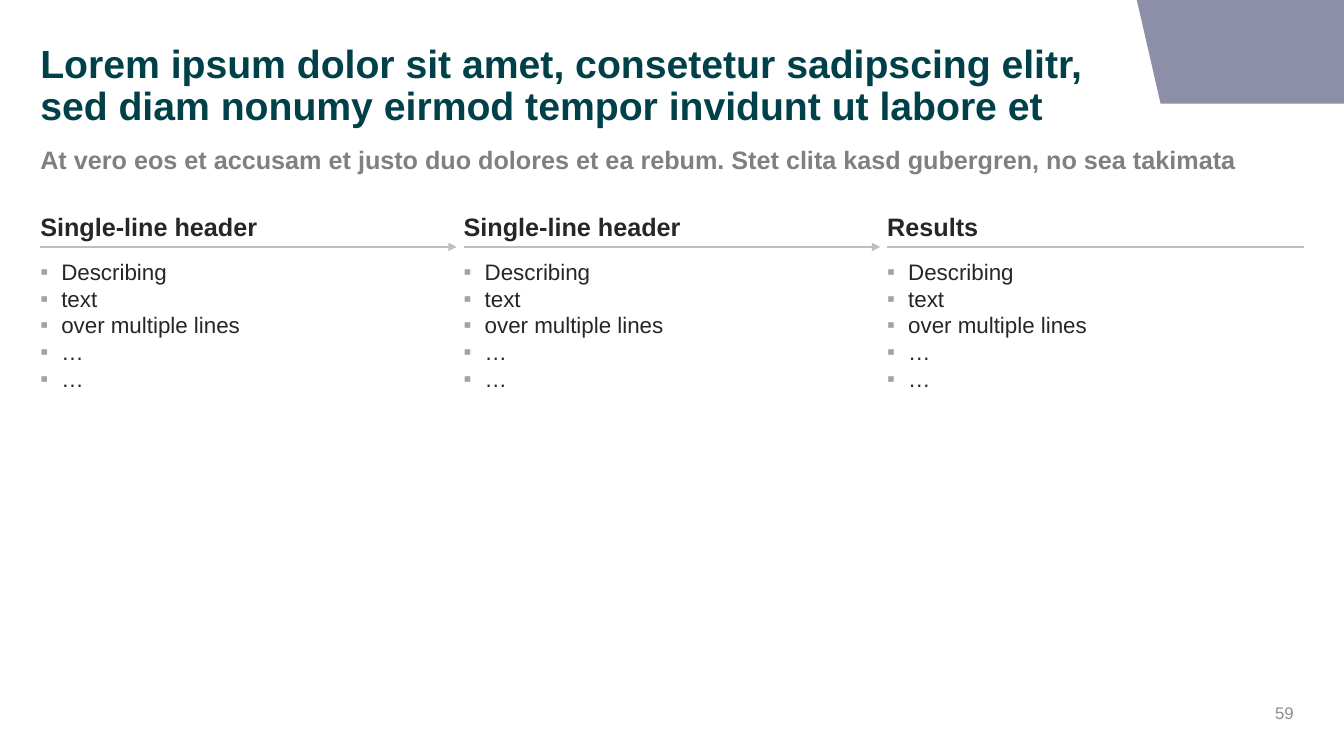
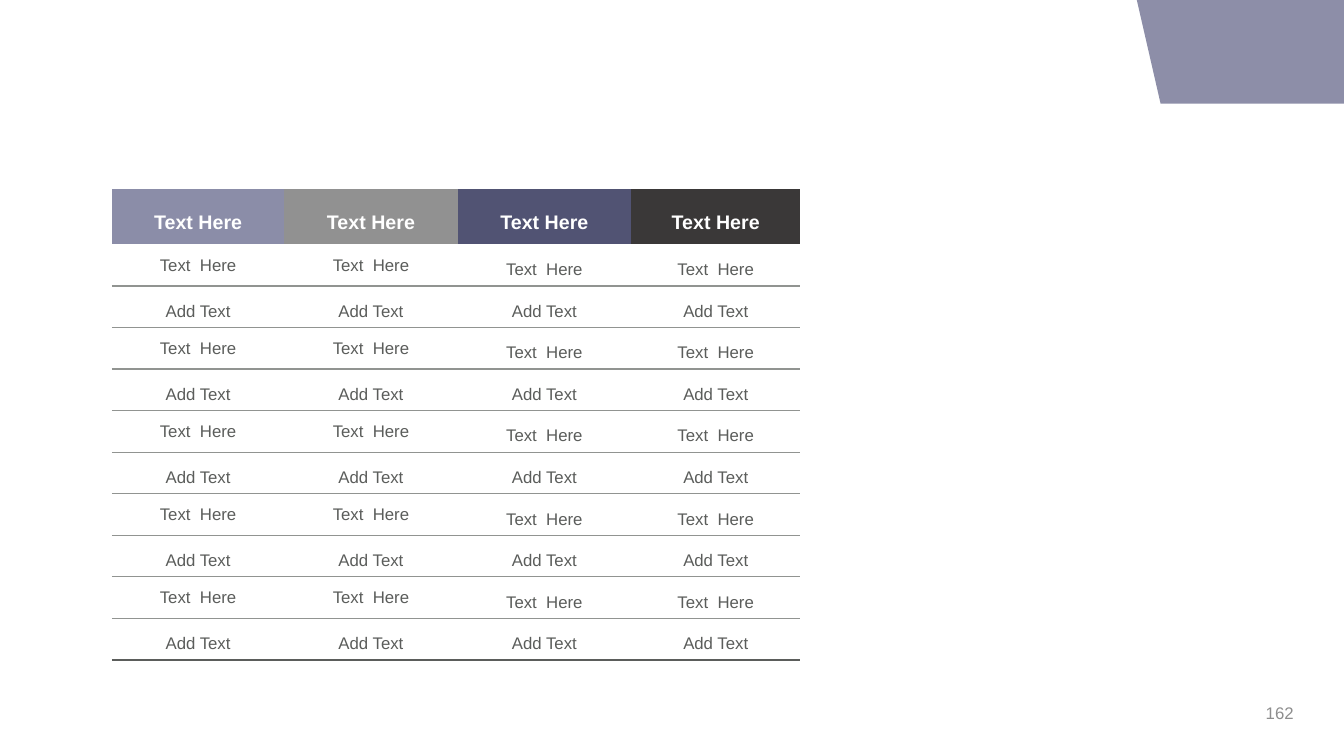
from lxml.etree import SubElement
from pptx import Presentation
from pptx.dml.color import RGBColor
from pptx.enum.shapes import MSO_CONNECTOR
from pptx.enum.text import MSO_ANCHOR, PP_ALIGN
from pptx.oxml import parse_xml
from pptx.oxml.ns import nsdecls, qn
from pptx.util import Pt

SLIDE_WIDTH, SLIDE_HEIGHT = 960, 540
MARGIN = 28.8
FONT = "Arial"
WHITE = RGBColor(0xFF, 0xFF, 0xFF)
BAND = RGBColor(0x8D, 0x8E, 0xA8)
TEAL = RGBColor(0x00, 0x41, 0x49)
SUBTITLE_GREY = RGBColor(0x80, 0x80, 0x80)
PAGE_GREY = RGBColor(0x8E, 0x8E, 0x8E)
INK = RGBColor(0x25, 0x26, 0x25)
RULE = RGBColor(0xBB, 0xBE, 0xC2)
BULLET = RGBColor(0xA2, 0xA2, 0xA2)
CELL_TEXT = RGBColor(0x5B, 0x5D, 0x5B)
CELL_RULE = RGBColor(0x91, 0x94, 0x91)
HEADER_FILLS = (
    RGBColor(0x8B, 0x8D, 0xA8),
    RGBColor(0x91, 0x91, 0x91),
    RGBColor(0x51, 0x53, 0x73),
    RGBColor(0x3A, 0x38, 0x38),
)

TITLE_STYLE = {"size": Pt(28), "bold": True, "color": TEAL}
SUBTITLE_STYLE = {"size": Pt(18), "bold": True, "color": SUBTITLE_GREY}
HEADING_STYLE = {"size": Pt(18), "bold": True, "color": INK}
BODY_STYLE = {"size": Pt(16), "bold": False, "color": INK}
PAGE_STYLE = {"size": Pt(12), "bold": False, "color": PAGE_GREY}
TABLE_HEAD_STYLE = {"size": Pt(14), "bold": True, "color": WHITE}
TABLE_BODY_STYLE = {"size": Pt(12), "bold": False, "color": CELL_TEXT}

STEPS = ("Single-line header", "Single-line header", "Results")
STEP_LINES = ("Describing", "text", "over multiple lines", "…", "…")
COLUMN_WIDTHS = (123.1, 123.9, 123.9, 120.9)
BODY_ROWS = ("Text  Here", "Add Text") * 5


def format_text(paragraph, text, style, **layout):
    """Write one run and apply its character and paragraph formats."""
    run = paragraph.add_run()
    run.text = text
    run.font.name = FONT
    for name, value in style.items():
        if name == "color":
            run.font.color.rgb = value
        else:
            setattr(run.font, name, value)
    for name, value in layout.items():
        setattr(paragraph, name, value)


def add_text_frame(shapes, box, inset=0, anchor=MSO_ANCHOR.TOP):
    """Add a wrapping text box and return its frame."""
    frame = shapes.add_textbox(*map(Pt, box)).text_frame
    formats = {
        "word_wrap": True,
        "vertical_anchor": anchor,
        "margin_left": Pt(inset),
        "margin_right": Pt(inset),
        "margin_top": Pt(inset / 2),
        "margin_bottom": Pt(inset / 2),
    }
    for name, value in formats.items():
        setattr(frame, name, value)
    return frame


def add_bullet(paragraph):
    """Give a paragraph a hanging square bullet."""
    properties = paragraph._p.get_or_add_pPr()
    properties.set("marL", str(Pt(15)))
    properties.set("indent", str(-Pt(15)))
    color = SubElement(properties, qn("a:buClr"))
    SubElement(color, qn("a:srgbClr"), val=str(BULLET))
    SubElement(properties, qn("a:buFont"), typeface=FONT)
    SubElement(properties, qn("a:buChar"), char="▪")


def add_frame(presentation, page_number):
    """Add a slide with the corner band and page number."""
    slide = presentation.slides.add_slide(presentation.slide_layouts[6])
    outline = slide.shapes.build_freeform(SLIDE_WIDTH, 0, scale=Pt(1))
    outline.add_line_segments([(SLIDE_WIDTH, 74), (829, 74), (811.5, 0)])
    band = outline.convert_to_shape()
    band.shadow.inherit = False
    band.fill.solid()
    band.fill.fore_color.rgb = BAND
    band.line.fill.background()
    page = add_text_frame(slide.shapes, (715.2, 500.4, 216, 17.3), 7.2, MSO_ANCHOR.MIDDLE)
    format_text(page.paragraphs[0], page_number, PAGE_STYLE, alignment=PP_ALIGN.RIGHT)
    return slide


def add_heading(slide, box, title, subtitle):
    """Place the title and its subtitle in the given box."""
    left, top, width, height = box
    title_frame = add_text_frame(slide.shapes, (left, top, 782.6, 62.6))
    format_text(title_frame.paragraphs[0], title, TITLE_STYLE, line_spacing=0.9)
    subtitle_frame = add_text_frame(slide.shapes, (left, top + 71.3, width, height - 71.3))
    format_text(subtitle_frame.paragraphs[0], subtitle, SUBTITLE_STYLE)


def add_step(slide, box, heading, has_arrow):
    """Place a heading, its rule and its bullets as one group."""
    left, top, width, height = box
    shapes = slide.shapes.add_group_shape().shapes
    heading_frame = add_text_frame(shapes, (left, top, width, 21.6))
    format_text(heading_frame.paragraphs[0], heading, HEADING_STYLE)

    rule_y = Pt(top + 25.2)
    rule = shapes.add_connector(
        MSO_CONNECTOR.STRAIGHT, Pt(left), rule_y, Pt(left + width), rule_y
    )
    rule.line.color.rgb = RULE
    rule.line.width = Pt(1.75)
    if has_arrow:
        SubElement(rule.line._get_or_add_ln(), qn("a:tailEnd"), type="triangle")
    SubElement(rule._element.spPr, qn("a:effectLst"))

    details = add_text_frame(shapes, (left, top + 35.3, width, height - 35.3))
    for index, line in enumerate(STEP_LINES):
        paragraph = details.add_paragraph() if index else details.paragraphs[0]
        add_bullet(paragraph)
        space = Pt(1.8 if index else 0)
        format_text(paragraph, line, BODY_STYLE, line_spacing=0.9, space_before=space)


def add_steps(slide, box):
    """Spread the steps evenly over the given box."""
    left, top, width, height = box
    gap = 5
    step_width = (width - gap * (len(STEPS) - 1)) / len(STEPS)
    for index, heading in enumerate(STEPS):
        step_left = left + index * (step_width + gap)
        add_step(slide, (step_left, top, step_width, height), heading, index < len(STEPS) - 1)


def set_borders(cell, top, bottom):
    """Rule a cell above and below, with open sides."""
    properties = cell._tc.get_or_add_tcPr()
    sides = {"lnL": None, "lnR": None, "lnT": top, "lnB": bottom}
    for index, (side, rule) in enumerate(sides.items()):
        color, width = rule or (None, 0)
        fill = f'<a:solidFill><a:srgbClr val="{color}"/></a:solidFill>' if rule else "<a:noFill/>"
        border = f'<a:{side} {nsdecls("a")} w="{Pt(width)}">{fill}</a:{side}>'
        properties.insert(index, parse_xml(border))


def fill_cell(cell, text, style, fill, spacing, top, bottom):
    """Set the text, fill and borders of a table cell."""
    cell.fill.solid()
    cell.fill.fore_color.rgb = fill
    cell.vertical_anchor = MSO_ANCHOR.MIDDLE
    format_text(
        cell.text_frame.paragraphs[0], text, style,
        alignment=PP_ALIGN.CENTER, line_spacing=spacing,
    )
    set_borders(cell, top, bottom)


def add_text_table(slide, box):
    """Place the table with coloured headers in the given box."""
    height = box[3]
    header_height = 39.4
    row_height = (height - header_height) / len(BODY_ROWS)
    table = slide.shapes.add_table(
        len(BODY_ROWS) + 1, len(COLUMN_WIDTHS), *map(Pt, box)
    ).table
    table.first_row = table.horz_banding = False
    for column, width in zip(table.columns, COLUMN_WIDTHS):
        column.width = Pt(width)
    for index, row in enumerate(table.rows):
        row.height = Pt(row_height if index else header_height)

    thin, thick = (CELL_RULE, 1), (CELL_TEXT, 2.25)
    for column, fill in enumerate(HEADER_FILLS):
        fill_cell(table.cell(0, column), "Text Here", TABLE_HEAD_STYLE, fill, 1.5, None, None)
        for row, text in enumerate(BODY_ROWS, 1):
            spacing = 1.0 if row % 2 and column < 2 else 1.5
            top = thin if row > 1 else None
            bottom = thick if row == len(BODY_ROWS) else thin
            fill_cell(table.cell(row, column), text, TABLE_BODY_STYLE, WHITE, spacing, top, bottom)


def build_steps_slide(presentation):
    """Build the slide of three steps."""
    slide = add_frame(presentation, "59")
    add_heading(
        slide,
        (MARGIN, 31.7, 902.4, 95),
        "Lorem ipsum dolor sit amet, consetetur sadipscing elitr, "
        "sed diam nonumy eirmod tempor invidunt ut labore et",
        "At vero eos et accusam et justo duo dolores et ea rebum. "
        "Stet clita kasd gubergren, no sea takimata",
    )
    add_steps(slide, (MARGIN, 151.2, SLIDE_WIDTH - 2 * MARGIN, 130.3))


def build_table_slide(presentation):
    """Build the slide of the table."""
    slide = add_frame(presentation, "162")
    add_text_table(slide, (80, 135.2, sum(COLUMN_WIDTHS), 336.2))


def main():
    """Build and save the presentation."""
    presentation = Presentation()
    presentation.slide_width = Pt(SLIDE_WIDTH)
    presentation.slide_height = Pt(SLIDE_HEIGHT)
    build_steps_slide(presentation)
    build_table_slide(presentation)
    presentation.save("out.pptx")


if __name__ == "__main__":
    main()
